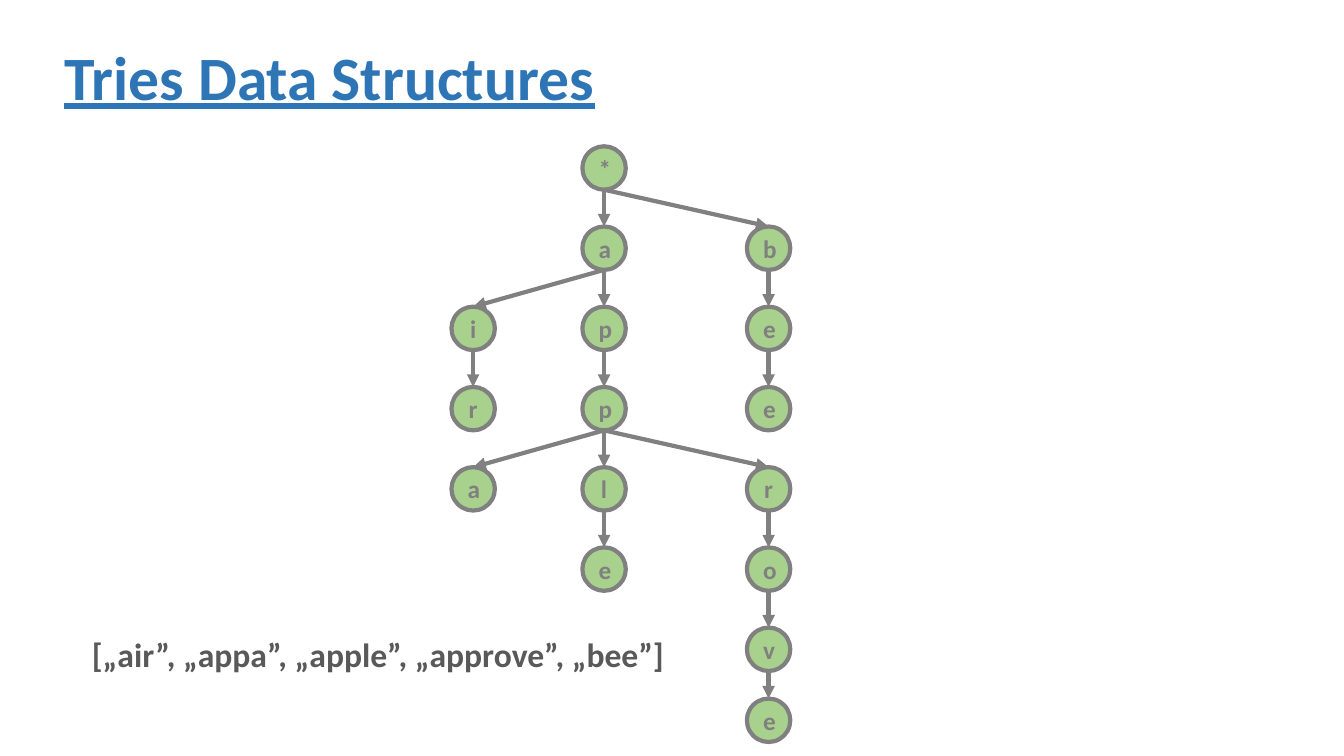
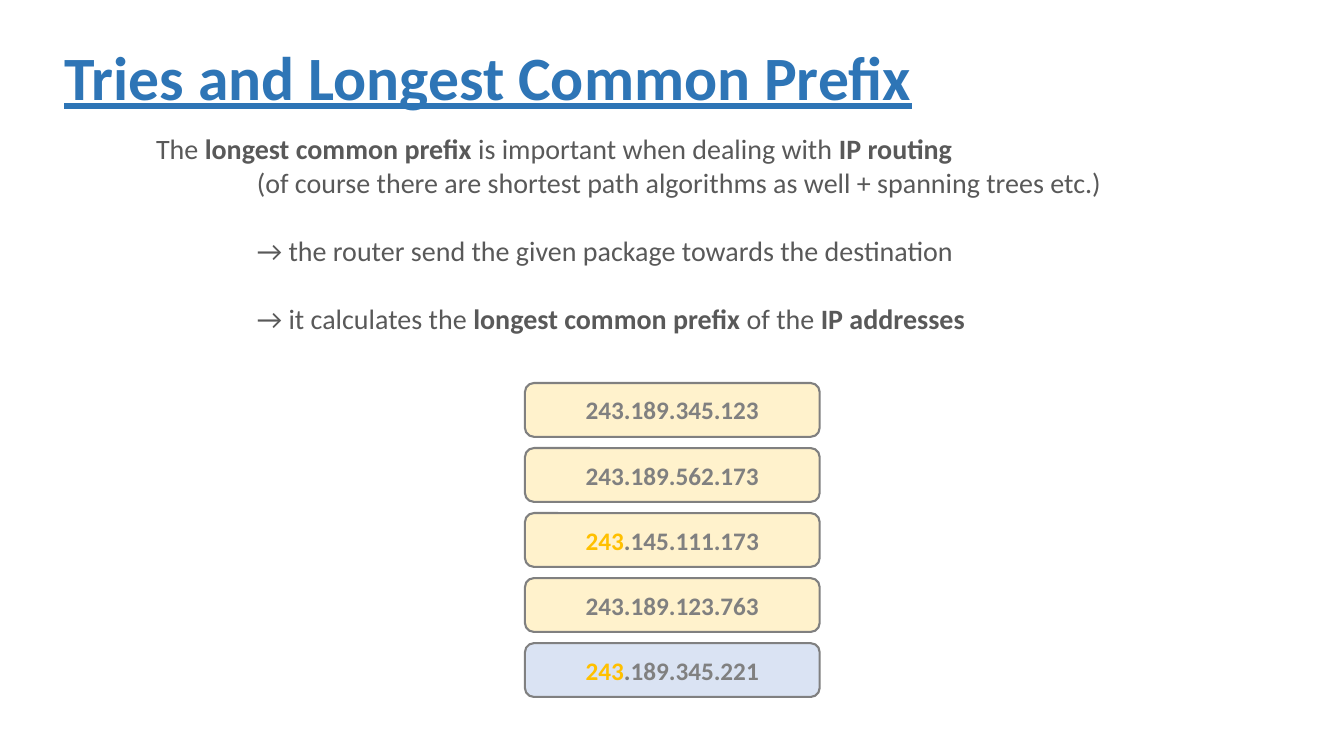
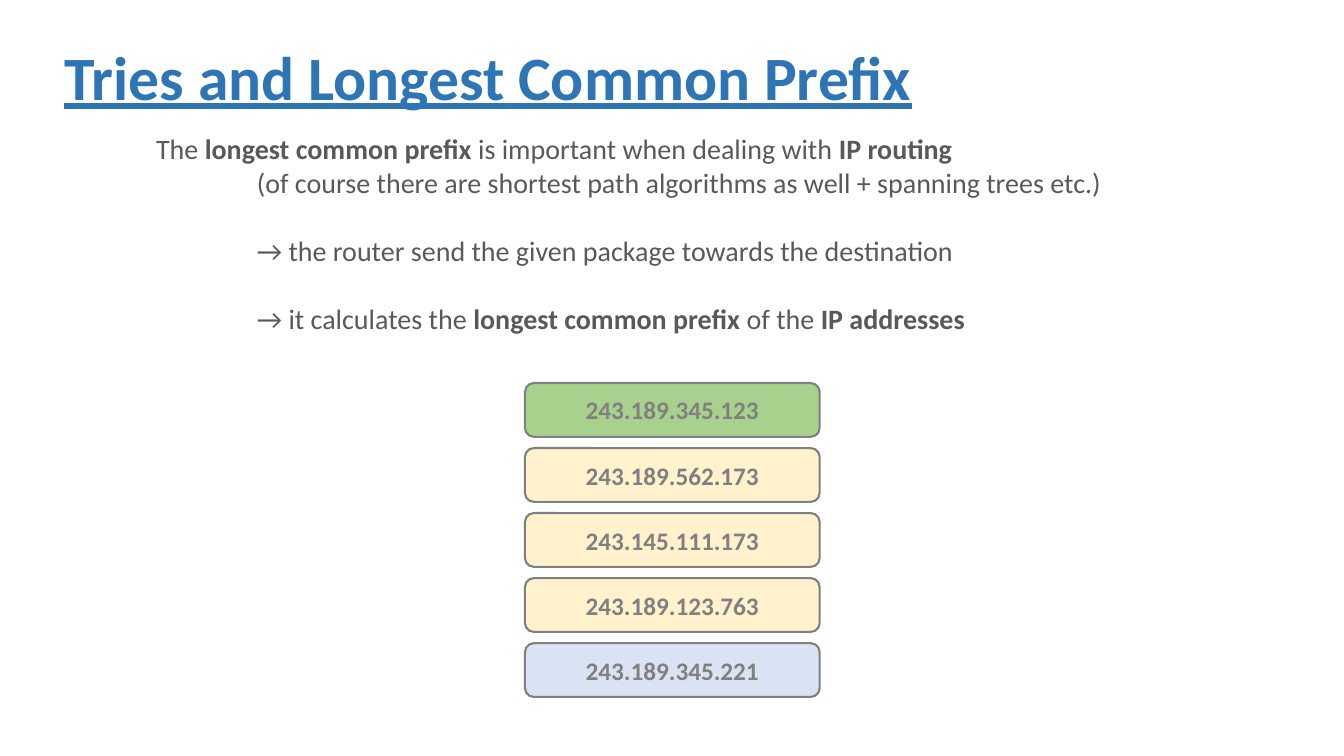
from dataclasses import dataclass

from pptx import Presentation
from pptx.dml.color import RGBColor
from pptx.enum.shapes import MSO_CONNECTOR, MSO_SHAPE
from pptx.enum.text import MSO_ANCHOR, PP_ALIGN
from pptx.oxml.ns import qn
from pptx.shapes.autoshape import Shape
from pptx.slide import Slide
from pptx.text.text import _Paragraph as Paragraph
from pptx.util import Pt
from lxml.etree import SubElement

COLORS = {
    "title": "2E75B6",
    "body": "595959",
    "gray": "808080",
    "green": "A9D18E",
    "cream": "FFF2CC",
    "blue": "DAE3F3",
    "gold": "FFC000",
}
FONT = "Calibri"
TITLE = {"size": Pt(44), "bold": True, "underline": True}
WORD_LIST = {"size": Pt(24), "bold": True}
BODY = {"size": Pt(20)}
LABEL = {"size": Pt(18), "bold": True}

WORDS = ("air", "appa", "apple", "approve", "bee")
LEFT, CENTER, RIGHT = 338, 431.5, 549
# Prefixes that open a column; every other node stays below its parent.
COLUMNS = {"": CENTER, "ai": LEFT, "appa": LEFT, "appr": RIGHT, "b": RIGHT}
NODE_SIZE = 31
FIRST_ROW, ROW_PITCH, LOWEST_ROW = 104.5, 57.3, 499

ADDRESS_LEFT, ADDRESS_TOP, ADDRESS_PITCH = 375, 273.6, 46.45
ADDRESS_WIDTH, ADDRESS_HEIGHT = 210.5, 38.4


@dataclass(frozen=True)
class Span:
    text: str
    bold: bool = False


@dataclass(frozen=True)
class Line:
    spans: tuple[Span, ...]
    indent: float = 72
    before: float = 0


@dataclass(frozen=True)
class Address:
    text: str
    fill: str = "cream"
    prefix: str = ""


EXPLANATION = (
    Line((
        Span("The "),
        Span("longest common prefix", True),
        Span(" is important when dealing with "),
        Span("IP routing", True),
    ), indent=0),
    Line((Span("(of course there are shortest path algorithms as well + spanning trees etc.)"),)),
    Line((Span("→ the router send the given package towards the destination"),), before=24.4),
    Line((
        Span("→ it calculates the "),
        Span("longest common prefix", True),
        Span(" of the "),
        Span("IP addresses", True),
    ), before=24.4),
)

COMPARED = (
    Address("243.189.345.123"),
    Address("243.189.562.173"),
    Address(".145.111.173", prefix="243"),
    Address("243.189.123.763"),
    Address(".189.345.221", "blue", "243"),
)
MATCHED = (
    Address("243.189.345.123", "green"),
    Address("243.189.562.173"),
    Address("243.145.111.173"),
    Address("243.189.123.763"),
    Address("243.189.345.221", "blue"),
)


def color(name: str) -> RGBColor:
    return RGBColor.from_string(COLORS[name])


def add_span(para: Paragraph, text: str, color_name: str, style: dict) -> None:
    span = para.add_run()
    span.text = text
    span.font.color.rgb = color(color_name)
    for attribute, value in {"name": FONT, **style}.items():
        setattr(span.font, attribute, value)


def add_text_box(page: Slide, left: float, top: float, width: float, height: float) -> Shape:
    box = page.shapes.add_textbox(Pt(left), Pt(top), Pt(width), Pt(height))
    box.text_frame.word_wrap = True
    return box


def add_page(deck: Presentation, title: str) -> Slide:
    page = deck.slides.add_slide(deck.slide_layouts[6])
    box = add_text_box(page, 39, 5, 828, 104.4)
    box.text_frame.vertical_anchor = MSO_ANCHOR.MIDDLE
    para = box.text_frame.paragraphs[0]
    para.line_spacing = 0.9
    add_span(para, title, "title", TITLE)
    return page


def add_labelled_shape(page: Slide, kind: MSO_SHAPE, frame: tuple[float, ...],
                       fill: str, line_width: float) -> Paragraph:
    """Draw an outlined shape and return its centred, empty paragraph."""
    shape = page.shapes.add_shape(kind, *map(Pt, frame))
    shape.shadow.inherit = False
    shape.fill.solid()
    shape.fill.fore_color.rgb = color(fill)
    shape.line.color.rgb = color("gray")
    shape.line.width = Pt(line_width)
    shape.text_frame.vertical_anchor = MSO_ANCHOR.MIDDLE
    para = shape.text_frame.paragraphs[0]
    para.alignment = PP_ALIGN.CENTER
    return para


def add_arrow(page: Slide, start: tuple[float, float], end: tuple[float, float]) -> None:
    arrow = page.shapes.add_connector(MSO_CONNECTOR.STRAIGHT, *map(Pt, start + end))
    arrow.line.color.rgb = color("gray")
    arrow.line.width = Pt(3)
    SubElement(arrow.line._get_or_add_ln(), qn("a:tailEnd"), type="triangle")
    SubElement(arrow._element.spPr, qn("a:effectLst"))


def node_position(prefix: str) -> tuple[float, float]:
    """Return the top centre of the node that ends this prefix."""
    column = prefix
    while column not in COLUMNS:
        column = column[:-1]
    return COLUMNS[column], min(FIRST_ROW + ROW_PITCH * len(prefix), LOWEST_ROW)


def draw_trie(page: Slide) -> None:
    prefixes = dict.fromkeys(word[:end] for word in WORDS for end in range(len(word) + 1))
    for prefix in prefixes:
        center, top = node_position(prefix)
        frame = (center - NODE_SIZE / 2, top, NODE_SIZE, NODE_SIZE)
        para = add_labelled_shape(page, MSO_SHAPE.OVAL, frame, "green", 3)
        add_span(para, prefix[-1:] or "*", "gray", LABEL)
    for prefix in filter(None, prefixes):
        center, top = node_position(prefix[:-1])
        add_arrow(page, (center, top + NODE_SIZE), node_position(prefix))


def draw_explanation(page: Slide) -> None:
    frame = add_text_box(page, 104.4, 90.7, 700, 152.6).text_frame
    for number, line in enumerate(EXPLANATION):
        para = frame.add_paragraph() if number else frame.paragraphs[0]
        para.space_before = Pt(line.before)
        para._p.get_or_add_pPr().set("marL", str(Pt(line.indent)))
        for span in line.spans:
            add_span(para, span.text, "body", {**BODY, "bold": span.bold})


def draw_addresses(page: Slide, addresses: tuple[Address, ...]) -> None:
    for row, address in enumerate(addresses):
        frame = (ADDRESS_LEFT, ADDRESS_TOP + row * ADDRESS_PITCH, ADDRESS_WIDTH, ADDRESS_HEIGHT)
        para = add_labelled_shape(page, MSO_SHAPE.ROUNDED_RECTANGLE, frame, address.fill, 1.5)
        if address.prefix:
            add_span(para, address.prefix, "gold", LABEL)
        add_span(para, address.text, "gray", LABEL)


def main() -> None:
    deck = Presentation()
    deck.slide_width, deck.slide_height = Pt(960), Pt(540)

    page = add_page(deck, "Tries Data Structures")
    draw_trie(page)
    box = add_text_box(page, 58.5, 449.5, 440, 36)
    quoted = ", ".join(f"„{word}”" for word in WORDS)
    add_span(box.text_frame.paragraphs[0], f"[{quoted}]", "body", WORD_LIST)

    for addresses in (COMPARED, MATCHED):
        page = add_page(deck, "Tries and Longest Common Prefix")
        draw_explanation(page)
        draw_addresses(page, addresses)

    deck.save("out.pptx")


if __name__ == "__main__":
    main()
